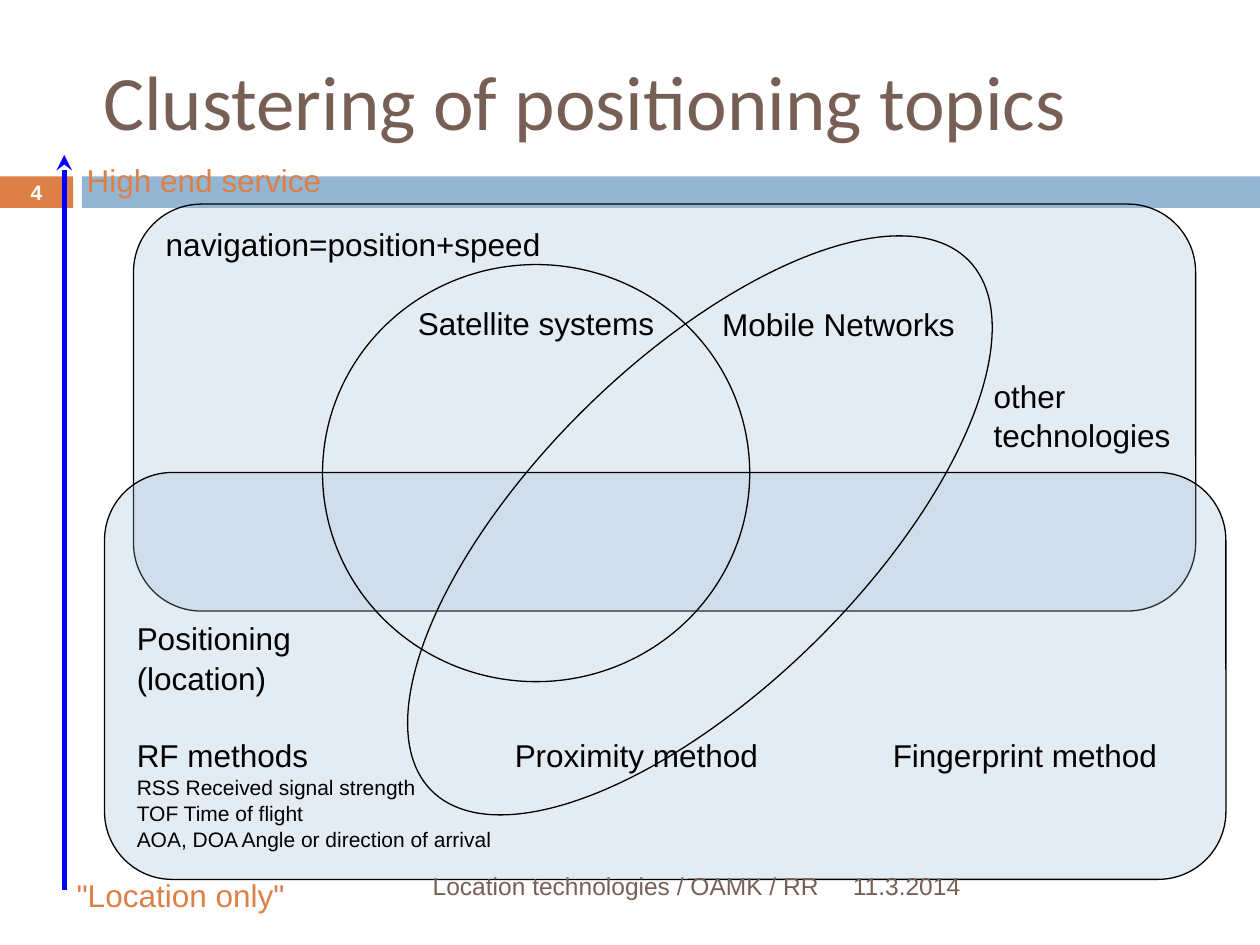
from lxml import etree
from pptx import Presentation
from pptx.dml.color import RGBColor
from pptx.enum.shapes import MSO_CONNECTOR, MSO_SHAPE
from pptx.enum.text import MSO_ANCHOR, PP_ALIGN
from pptx.oxml.ns import qn
from pptx.util import Inches, Pt

COLORS = {"orange": "DD8047", "blue": "94B6D2", "brown": "775F55",
          "arrow": "0000FF", "black": "000000", "white": "FFFFFF"}


def add_shape(kind, box, fill=None, outlined=False, alpha=None):
    sp = s.shapes.add_shape(kind, *[Inches(v) for v in box])
    sp.shadow.inherit = False
    if fill:
        sp.fill.solid()
        sp.fill.fore_color.rgb = RGBColor.from_string(COLORS[fill])
        if alpha:
            clr = sp.fill._xPr.find(qn("a:solidFill"))[0]
            etree.SubElement(clr, qn("a:alpha"), val=str(alpha * 1000))
    else:
        sp.fill.background()
    if outlined:
        sp.line.color.rgb = RGBColor.from_string(COLORS["black"])
        sp.line.width = Pt(0.75)
    else:
        sp.line.fill.background()
    return sp


def write(sp, lines, color="black", align=PP_ALIGN.LEFT, tabs=(), spacing=None):
    """Each line is (text, size, space before)."""
    tf = sp.text_frame
    tf.word_wrap = True
    tf.text = "\n".join(text for text, size, before in lines)
    for p, (text, size, before) in zip(tf.paragraphs, lines):
        p.alignment = align
        if spacing:
            p.line_spacing = spacing
        if before:
            p.space_before = Pt(before)
        if tabs:
            tab_list = etree.SubElement(p._p.get_or_add_pPr(), qn("a:tabLst"))
            for tab in tabs:
                etree.SubElement(tab_list, qn("a:tab"), pos=str(Inches(tab)), algn="l")
        for r in p.runs:
            r.font.size = Pt(size)
            r.font.name = "Arial"
            r.font.color.rgb = RGBColor.from_string(COLORS[color])
    return tf


prs = Presentation()
prs.slide_width, prs.slide_height = Inches(10), Inches(7.5)
s = prs.slides.add_slide(prs.slide_layouts[5])

# Title
title = s.shapes.title
title.left, title.top, title.width, title.height = [Inches(v) for v in (0.72, 0.3, 8.81, 0.98)]
tf = title.text_frame
tf.text = "Clustering of positioning topics"
tf.vertical_anchor = MSO_ANCHOR.MIDDLE
p = tf.paragraphs[0]
p.alignment = PP_ALIGN.LEFT
font = p.runs[0].font
font.size, font.name = Pt(44), "Calibri"
font.color.rgb = RGBColor.from_string(COLORS["brown"])

# Header band with the slide number
number = add_shape(MSO_SHAPE.RECTANGLE, (0, 1.4, 0.58, 0.25), "orange")
add_shape(MSO_SHAPE.RECTANGLE, (0.65, 1.4, 9.35, 0.25), "blue")
tf = write(number, [("4", 12, 0)], "white", PP_ALIGN.CENTER)
tf.margin_top = tf.margin_bottom = 0
tf.paragraphs[0].runs[0].font.bold = True

# Navigation and positioning areas
navigation = add_shape(MSO_SHAPE.ROUNDED_RECTANGLE, (1.06, 1.62, 8.43, 3.23), "blue", True, 25)
tf = write(navigation, [("navigation=position+speed", 18, 0), ("\tother", 18, 64),
                        ("\ttechnologies", 18, 0)], tabs=[6.57], spacing=1.04)
tf.vertical_anchor = MSO_ANCHOR.TOP
tf.margin_top = tf.margin_right = 0

positioning = add_shape(MSO_SHAPE.ROUNDED_RECTANGLE, (0.83, 3.75, 8.9, 3.23), "blue", True, 25)
tf = write(positioning, [
    ("Positioning", 18, 0),
    ("(location)", 18, 0),
    ("RF methods\tProximity method\tFingerprint method", 18, 21.5),
    ("RSS Received signal strength", 12, 0),
    ("TOF Time of flight", 12, 0),
    ("AOA, DOA Angle or direction of arrival", 12, 0),
], tabs=[3, 6], spacing=1.04)
tf.vertical_anchor = MSO_ANCHOR.BOTTOM
tf.margin_bottom = Inches(0.06)

# Technology ellipses
mobile = add_shape(MSO_SHAPE.OVAL, (2.56, 2.87, 5.99, 2.6), outlined=True)
mobile.rotation = 315.4
add_shape(MSO_SHAPE.OVAL, (2.56, 2.1, 3.39, 3.31), outlined=True)

# Service level arrow
arrow = s.shapes.add_connector(MSO_CONNECTOR.STRAIGHT, Inches(0.51), Inches(7.06),
                               Inches(0.51), Inches(1.23))
arrow.line.color.rgb = RGBColor.from_string(COLORS["arrow"])
arrow.line.width = Pt(3)
etree.SubElement(arrow.line._get_or_add_ln(), qn("a:tailEnd"), type="stealth")
etree.SubElement(arrow._element.spPr, qn("a:effectLst"))

# Labels and footer
for text, box, size, color, align in [
    ("Satellite systems", (2.95, 2.36, 2.61, 0.4), 18, "black", PP_ALIGN.CENTER),
    ("Mobile Networks", (5.35, 2.37, 2.61, 0.4), 18, "black", PP_ALIGN.CENTER),
    ("\"Location only\"", (0.51, 6.9, 2.13, 0.4), 18, "orange", PP_ALIGN.LEFT),
    ("High end service", (0.59, 1.23, 2.13, 0.4), 18, "orange", PP_ALIGN.LEFT),
    ("11.3.2014", (6.67, 6.83, 2.92, 0.4), 14, "brown", PP_ALIGN.LEFT),
    ("Location technologies / OAMK / RR", (0.67, 6.83, 5.93, 0.4), 14, "brown", PP_ALIGN.RIGHT),
]:
    label = s.shapes.add_textbox(*[Inches(v) for v in box])
    tf = write(label, [(text, size, 0)], color, align)
    tf.vertical_anchor = MSO_ANCHOR.MIDDLE

prs.save("out.pptx")
